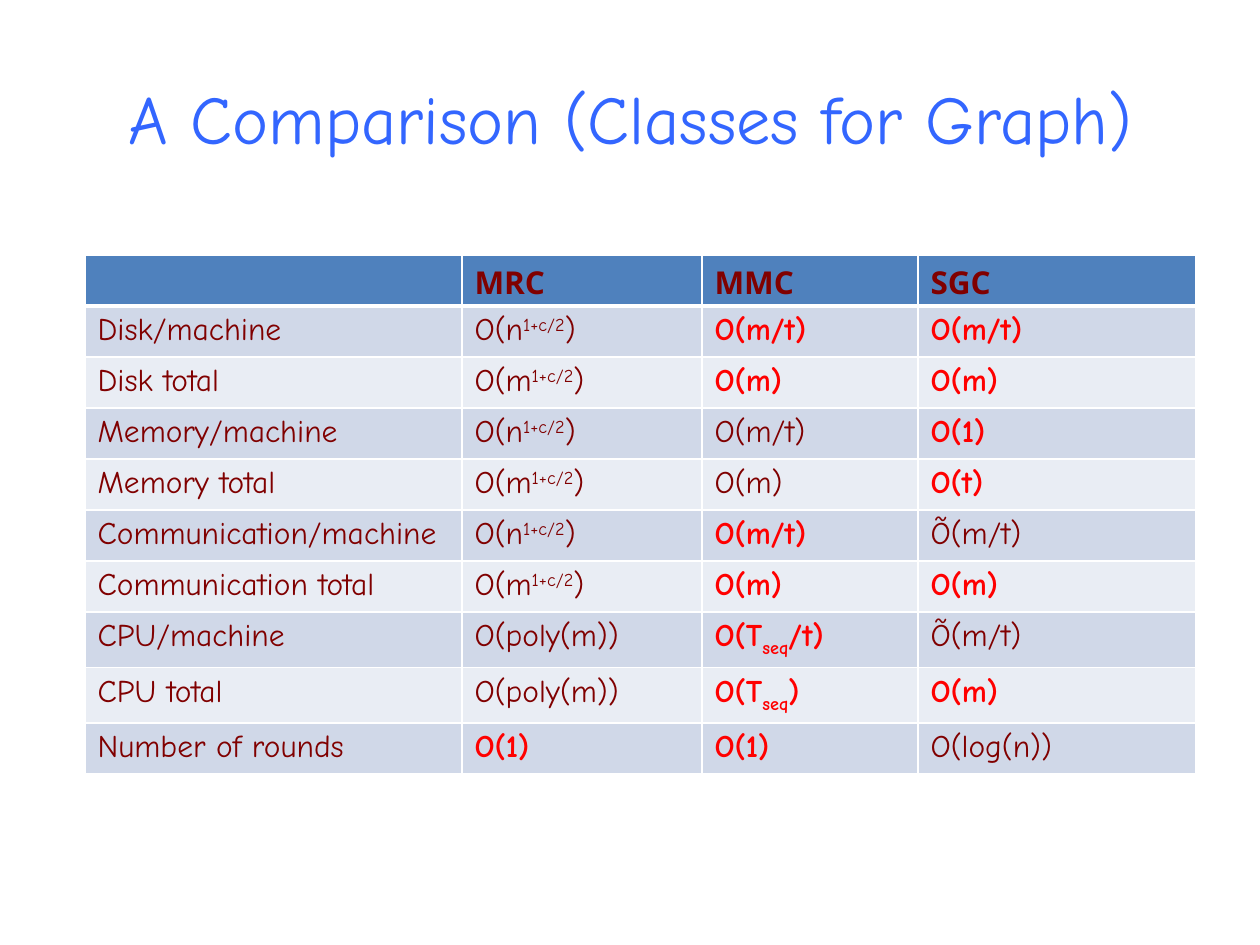
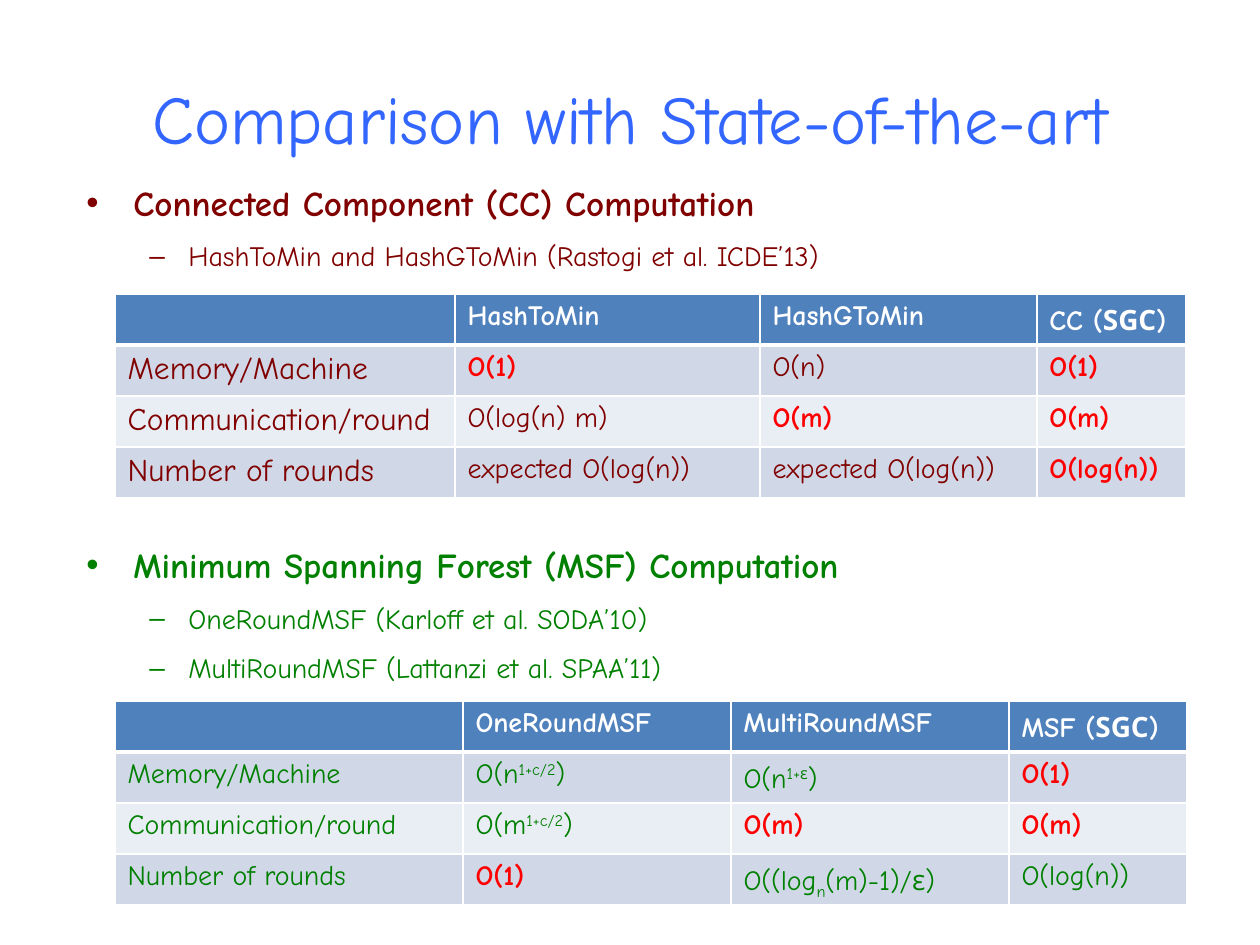
from dataclasses import dataclass

from lxml import etree
from pptx import Presentation
from pptx.dml.color import RGBColor
from pptx.enum.text import MSO_ANCHOR, PP_ALIGN
from pptx.oxml.ns import qn
from pptx.util import Pt

MID, CENTER = MSO_ANCHOR.MIDDLE, PP_ALIGN.CENTER
PX = 914400 / 126
BLANK = 6


@dataclass(frozen=True)
class Theme:
    hand: str = "Comic Neue"
    sans: str = "Noto Sans"
    greek: str = "Open Sans"
    blue: str = "3366FF"
    maroon: str = "800000"
    green: str = "008000"
    red: str = "FF0000"
    white: str = "FFFFFF"
    head: str = "4F81BD"
    bands: tuple = ("D0D8E8", "E9EDF4")
    title: int = 39
    topic: int = 20
    large: int = 18
    small: int = 16


T = Theme()
FACES = {"SGC": T.sans, "ε": T.greek}
SHIFTS = {"^": "30000", "_": "-25000"}

# Content: "|" splits runs, "^" raises, "_" lowers, a leading "*" marks a best bound
N_POW, M_POW = "O(n|^1+c/2|)", "O(m|^1+c/2|)"
CLASSES = [
    ("", "MRC", "MMC", "SGC"),
    ("Disk/machine", N_POW, "*O(m/t)", "*O(m/t)"),
    ("Disk total", M_POW, "*O(m)", "*O(m)"),
    ("Memory/machine", N_POW, "O(m/t)", "*O(1)"),
    ("Memory total", M_POW, "O(m)", "*O(t)"),
    ("Communication/machine", N_POW, "*O(m/t)", "Õ(m/t)"),
    ("Communication total", M_POW, "*O(m)", "*O(m)"),
    ("CPU/machine", "O(poly(m))", "*O(T|_seq|/t)", "Õ(m/t)"),
    ("CPU total", "O(poly(m))", "*O(T|_seq|)", "*O(m)"),
    ("Number of rounds", "*O(1)", "*O(1)", "O(log(n))"),
]
CONNECT = [
    ("", "HashToMin", "HashGToMin", "CC (|SGC|)"),
    ("Memory/Machine", "*O(1)", "O(n)", "*O(1)"),
    ("Communication/round", "O(log(n) m)", "*O(m)", "*O(m)"),
    ("Number of rounds", "expected O(log(n))", "expected O(log(n))", "*O(log(n))"),
]
FOREST = [
    ("", "OneRoundMSF", "MultiRoundMSF", "MSF (|SGC|)"),
    ("Memory/Machine", N_POW, "O(n|^1+|^ε|)", "*O(1)"),
    ("Communication/round", M_POW, "*O(m)", "*O(m)"),
    ("Number of rounds", "*O(1)", "O((log|_n|(m)-1)/|ε|)", "O(log(n))"),
]
# Level, text, colour, space before in points
POINTS = [
    (0, "Connected Component (CC) Computation", T.maroon, 0),
    (1, "HashToMin and HashGToMin (Rastogi et al. ICDE’13)", T.maroon, 9),
    (0, "Minimum Spanning Forest (MSF) Computation", T.green, 155),
    (1, "OneRoundMSF (Karloff et al. SODA’10)", T.green, 9),
    (1, "MultiRoundMSF (Lattanzi et al. SPAA’11)", T.green, 9),
]
# Bullet, left margin, hanging indent in px, size, bold
LEVELS = [("•", 47, 47, T.topic, True), ("–", 102, 39, T.small, False)]


def emu(px):
    return round(px * PX)


def put(para, text, size=T.large, color=T.maroon, bold=False, face=T.hand):
    """Fill a paragraph with runs in one format."""
    para.font.size = Pt(size)
    for part in text.split("|") if text else ():
        shift = SHIFTS.get(part[0])
        run = para.add_run()
        run.text = part[1:] if shift else part
        font = run.font
        font.size, font.bold = Pt(size), bold
        font.name = FACES.get(run.text, face)
        font.color.rgb = RGBColor.from_string(color)
        if shift:
            run._r.get_or_add_rPr().set("baseline", shift)


def frame(slide, *box):
    text = slide.shapes.add_textbox(*map(emu, box)).text_frame
    text.word_wrap = True
    return text


def page(deck, title):
    slide = deck.slides.add_slide(deck.slide_layouts[BLANK])
    text = frame(slide, 63, 38, 1134, 158)
    text.vertical_anchor = MID
    text.paragraphs[0].alignment = CENTER
    put(text.paragraphs[0], title, size=T.title, color=T.blue)
    return slide


def bullet(para, mark, left, hang):
    props = para._p.get_or_add_pPr()
    props.set("marL", str(emu(left)))
    props.set("indent", str(-emu(hang)))
    etree.SubElement(props, qn("a:buFont")).set("typeface", "Arial")
    etree.SubElement(props, qn("a:buChar")).set("char", mark)


def edge(cell, row):
    """White rules, thicker under the header."""
    props = cell._tc.get_or_add_tcPr()
    thick = {(0, "B"), (1, "T")}
    for spot, side in enumerate("LRTB"):
        line = etree.Element(qn(f"a:ln{side}"))
        line.set("w", str(Pt(3 if (row, side) in thick else 1)))
        fill = etree.SubElement(line, qn("a:solidFill"))
        etree.SubElement(fill, qn("a:srgbClr")).set("val", T.white)
        props.insert(spot, line)


def grid(slide, left, top, cols, rows, head, label, body, high=51):
    """Draw a table; head, label and body are text formats."""
    table = slide.shapes.add_table(
        len(rows), len(cols), emu(left), emu(top),
        emu(sum(cols)), emu(high * len(rows))).table
    table.horz_banding = False
    for col, wide in zip(table.columns, cols):
        col.width = emu(wide)
    for r, row in enumerate(rows):
        table.rows[r].height = emu(high)
        for c, text in enumerate(row):
            cell = table.cell(r, c)
            cell.fill.solid()
            tint = T.bands[(r - 1) % 2] if r else T.head
            cell.fill.fore_color.rgb = RGBColor.from_string(tint)
            edge(cell, r)
            form = head if r == 0 else label if c == 0 else body
            if text.startswith("*"):
                text, form = text[1:], {**form, "color": T.red, "bold": True}
            put(cell.text_frame.paragraphs[0], text, **form)


def main():
    deck = Presentation()
    deck.slide_width, deck.slide_height = emu(1260), emu(945)

    # Classes for graph
    slide = page(deck, "A Comparison (Classes for Graph)")
    plain = {"size": T.large}
    grid(slide, 85, 255, (377, 240, 216, 278), CLASSES,
         {"bold": True, "face": T.sans}, plain, plain)

    # State of the art: topics
    slide = page(deck, "Comparison with State-of-the-art")
    text = frame(slide, 74, 175, 1091, 684)
    for i, (level, words, color, gap) in enumerate(POINTS):
        para = text.add_paragraph() if i else text.paragraphs[0]
        mark, left, hang, size, bold = LEVELS[level]
        para.level = level
        para.space_before = Pt(gap)
        bullet(para, mark, left, hang)
        put(para, words, size=size, color=color, bold=bold)

    # State of the art: tables
    head = {"size": T.small, "color": T.white, "bold": True}
    small = {"size": T.small}
    grid(slide, 115, 294, (340, 305, 277, 149), CONNECT, head, plain, small)
    green = {"size": T.small, "color": T.green}
    grid(slide, 115, 701, (348, 268, 278, 178), FOREST, head, green, green)

    deck.save("out.pptx")


if __name__ == "__main__":
    main()
